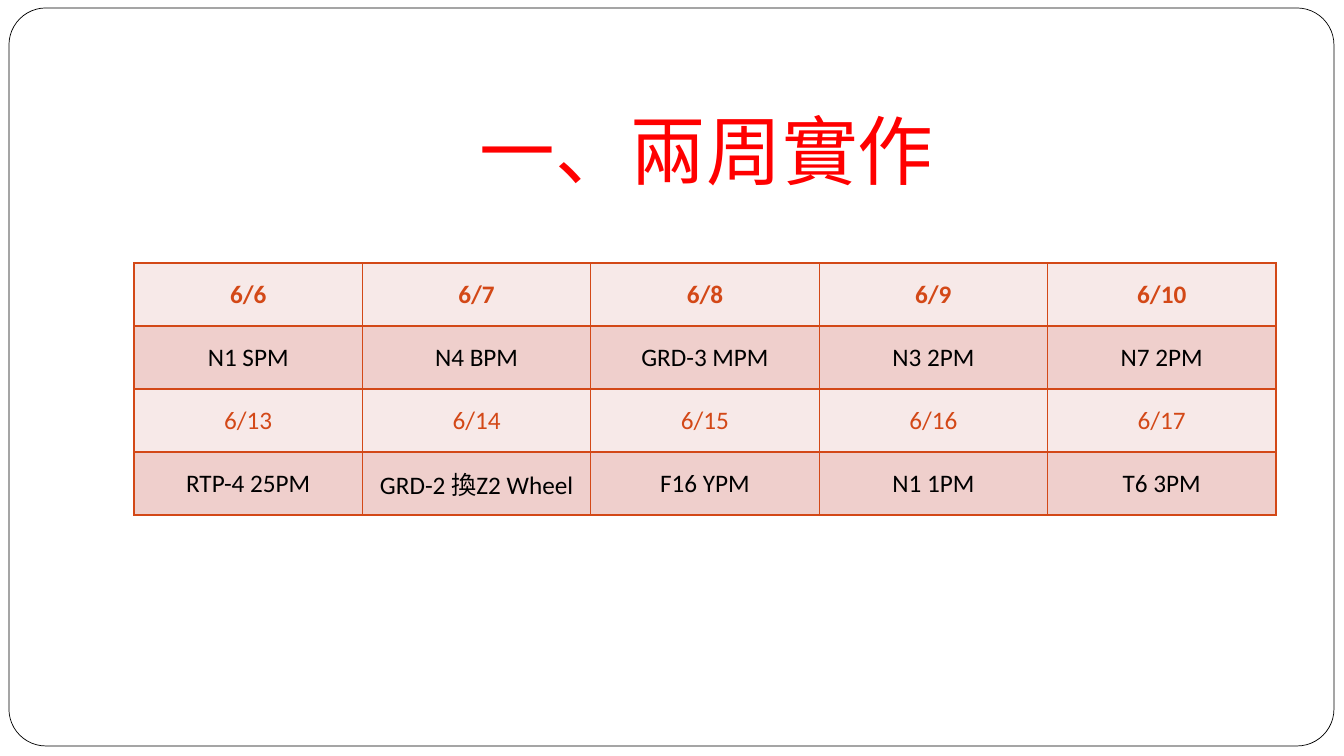
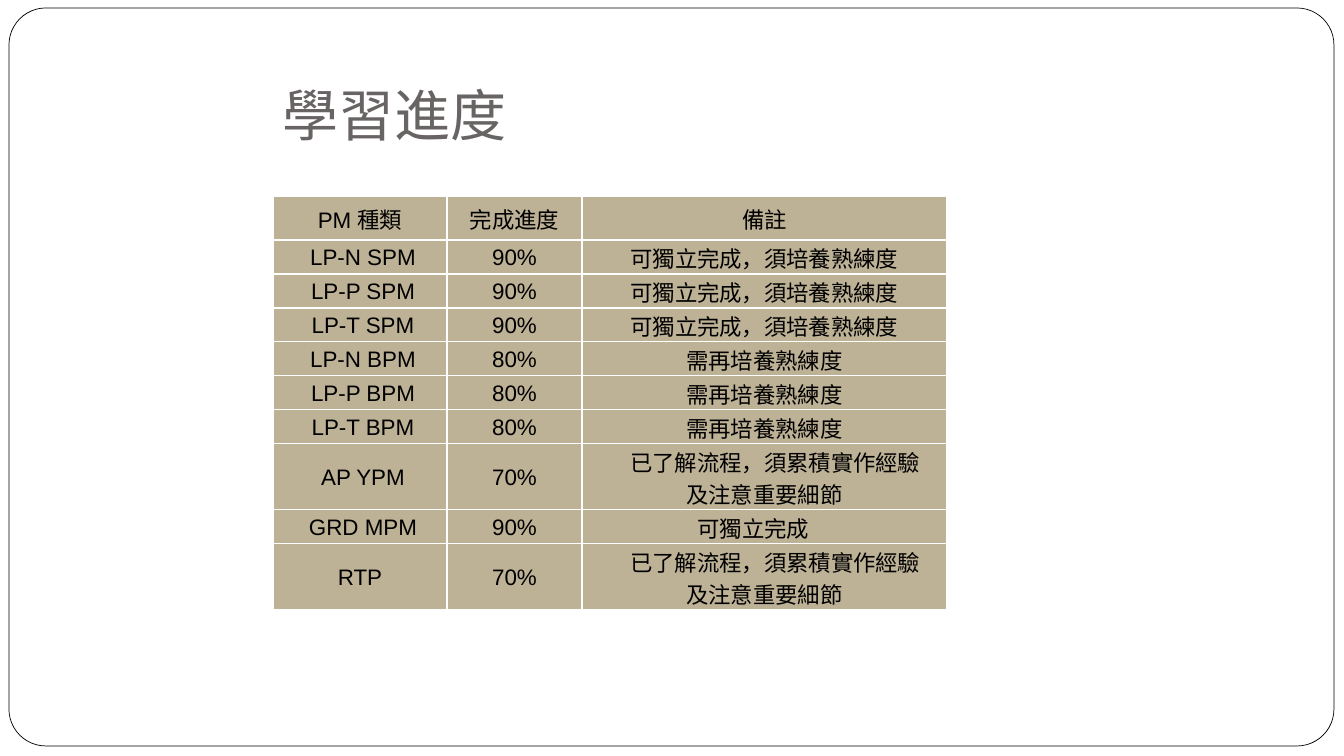
from lxml import etree
from pptx import Presentation
from pptx import util as u
from pptx.dml.color import RGBColor
from pptx.enum import shapes, text
from pptx.oxml.ns import qn

PX = 914400 / 100.8
WHITE = RGBColor(0xFF, 0xFF, 0xFF)
BLACK = RGBColor(0, 0, 0)
RED = RGBColor(0xFF, 0, 0)
GREY = RGBColor(0x69, 0x64, 0x64)
ORANGE = RGBColor(0xD3, 0x48, 0x17)
PALE = RGBColor(0xF7, 0xE9, 0xE8)
PINK = RGBColor(0xEF, 0xCF, 0xCC)
TAN = RGBColor(0xBD, 0xB1, 0x96)

SCHEDULE = [
    ("6/6", "6/7", "6/8", "6/9", "6/10"),
    ("N1 SPM", "N4 BPM", "GRD-3 MPM", "N3 2PM", "N7 2PM"),
    ("6/13", "6/14", "6/15", "6/16", "6/17"),
    ("RTP-4 25PM", "GRD-2 換Z2 Wheel", "F16 YPM", "N1 1PM", "T6 3PM"),
]

INDEPENDENT = "可獨立完成，須培養熟練度"
PRACTISE = "需再培養熟練度"
EXPERIENCE = "已了解流程，須累積實作經驗\n及注意重要細節"
PROGRESS = [
    ("PM 種類", "完成進度", "備註"),
    ("LP-N SPM", "90%", INDEPENDENT),
    ("LP-P SPM", "90%", INDEPENDENT),
    ("LP-T SPM", "90%", INDEPENDENT),
    ("LP-N BPM", "80%", PRACTISE),
    ("LP-P BPM", "80%", PRACTISE),
    ("LP-T BPM", "80%", PRACTISE),
    ("AP YPM", "70%", EXPERIENCE),
    ("GRD MPM", "90%", "可獨立完成"),
    ("RTP", "70%", EXPERIENCE),
]
PROGRESS_COLUMNS = (174, 135, 365)
HEADER_HEIGHT, LINE_HEIGHT, TWO_LINE_HEIGHT = 44, 34, 66
INSET, NAME_INDENT, REMARK_INDENT = 2, 6, 22


def px(length):
    return u.Emu(round(length * PX))


def set_font(paragraph, name, size, color, bold=False):
    font = paragraph.font
    font.name, font.size, font.bold = name, u.Pt(size), bold
    font.color.rgb = color


def new_slide(prs):
    slide = prs.slides.add_slide(prs.slide_layouts[6])
    frame = slide.shapes.add_shape(
        shapes.MSO_SHAPE.ROUNDED_RECTANGLE, px(9), px(8), px(1325), px(738))
    frame.adjustments[0] = 0.05
    frame.shadow.inherit = False
    frame.fill.solid()
    frame.fill.fore_color.rgb = WHITE
    frame.line.color.rgb = BLACK
    frame.line.width = u.Pt(0.5)
    return slide


def add_title(slide, words, box, font, size, color, align, anchor, bottom=5):
    title = slide.shapes.add_textbox(*map(px, box)).text_frame
    title.word_wrap = False
    title.vertical_anchor = anchor
    title.margin_bottom = px(bottom)
    paragraph = title.paragraphs[0]
    paragraph.text = words
    paragraph.alignment = align
    set_font(paragraph, font, size, color)


def add_grid(slide, rows, left, top, widths, heights):
    table = slide.shapes.add_table(
        len(rows), len(widths), px(left), px(top),
        px(sum(widths)), px(sum(heights))).table
    table.first_row = table.horz_banding = False
    for column, width in zip(table.columns, widths):
        column.width = px(width)
    for row, height in zip(table.rows, heights):
        row.height = px(height)
    return table


def fill_cell(cell, words, font, size, color, fill, border, bold=False):
    cell.text = words
    cell.vertical_anchor = text.MSO_ANCHOR.MIDDLE
    for paragraph in cell.text_frame.paragraphs:
        paragraph.alignment = text.PP_ALIGN.CENTER
        set_font(paragraph, font, size, color, bold)
    properties = cell._tc.get_or_add_tcPr()
    for side in ("a:lnL", "a:lnR", "a:lnT", "a:lnB"):
        line = etree.SubElement(properties, qn(side), w=str(u.Pt(1)))
        solid = etree.SubElement(line, qn("a:solidFill"))
        etree.SubElement(solid, qn("a:srgbClr"), val=str(border))
    cell.fill.solid()
    cell.fill.fore_color.rgb = fill


def build_schedule(prs):
    slide = new_slide(prs)
    table = add_grid(slide, SCHEDULE, 134, 263, [1142 / 5] * 5, [63] * 4)
    for r, row in enumerate(SCHEDULE):
        color, fill = (BLACK, PINK) if r % 2 else (ORANGE, PALE)
        for c, words in enumerate(row):
            fill_cell(table.cell(r, c), words, "Calibri", 18, color, fill,
                      ORANGE, bold=r == 0)
    add_title(slide, "一、兩周實作", (467, 99, 479, 102), "Calibri", 54, RED,
              text.PP_ALIGN.CENTER, text.MSO_ANCHOR.TOP)


def build_progress(prs):
    slide = new_slide(prs)
    add_title(slide, "學習進度", (273, 76, 255, 82), "Lato", 40, GREY,
              text.PP_ALIGN.LEFT, text.MSO_ANCHOR.BOTTOM, bottom=10)
    heights = [HEADER_HEIGHT] + [
        TWO_LINE_HEIGHT if "\n" in remark else LINE_HEIGHT
        for _, _, remark in PROGRESS[1:]]
    table = add_grid(slide, PROGRESS, 273, 196, PROGRESS_COLUMNS, heights)
    for r, row in enumerate(PROGRESS):
        for c, words in enumerate(row):
            cell = table.cell(r, c)
            fill_cell(cell, words, "Arial", 16, BLACK, TAN, WHITE)
            cell.margin_left = cell.margin_right = cell.margin_top = px(INSET)
            cell.margin_bottom = 0
            if c == 0 and words.endswith("PM"):
                cell.margin_left = px(INSET + NAME_INDENT)
            if words == "可獨立完成":
                cell.margin_right = px(INSET + REMARK_INDENT)
            if words == EXPERIENCE:
                first_line = cell.text_frame.paragraphs[0]._p.get_or_add_pPr()
                first_line.set("marL", str(px(REMARK_INDENT)))


def main():
    prs = Presentation()
    prs.slide_width, prs.slide_height = px(1344), px(756)
    build_schedule(prs)
    build_progress(prs)
    prs.save("out.pptx")


if __name__ == "__main__":
    main()
